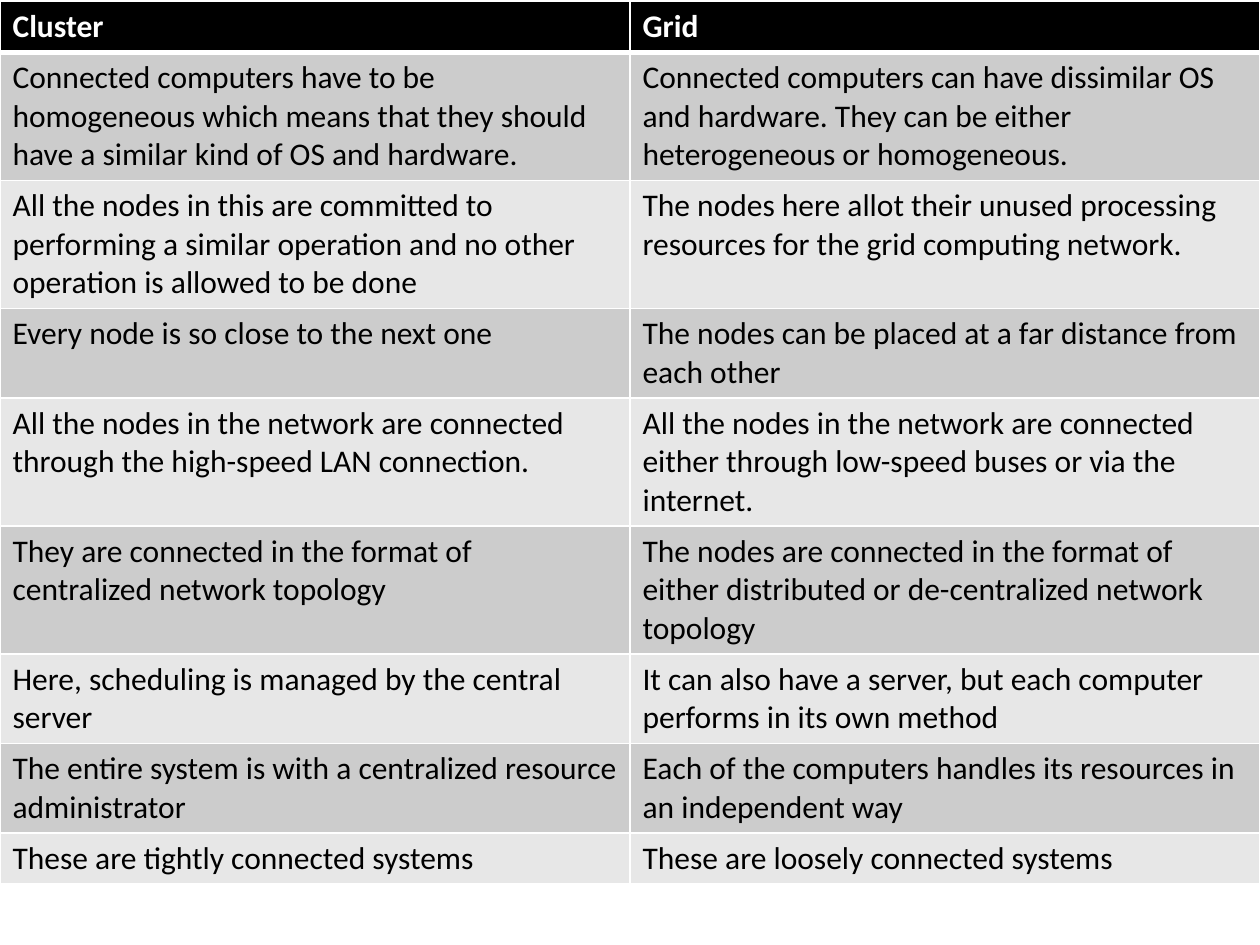
from dataclasses import dataclass
from typing import NamedTuple

from lxml.etree import SubElement
from pptx import Presentation
from pptx.dml.color import RGBColor
from pptx.oxml.ns import qn
from pptx.util import Pt


@dataclass(frozen=True)
class Theme:
    font: str = "Calibri"
    text_size: float = 18
    header_fill: str = "000000"
    header_text: str = "FFFFFF"
    body_text: str = "000000"
    band_fills: tuple[str, str] = ("CCCCCC", "E7E7E7")
    border: str = "FFFFFF"
    border_width: float = 1
    header_rule_width: float = 3


class Comparison(NamedTuple):
    cluster: str
    grid: str


THEME = Theme()
SLIDE_WIDTH, SLIDE_HEIGHT = 720, 540
TABLE_TOP, TABLE_HEIGHT, ROW_HEIGHT = 0.72, 497.5, 29.2

HEADER = Comparison("Cluster", "Grid")
COMPARISONS = [
    Comparison(
        "Connected computers have to be homogeneous which means that they should "
        "have a similar kind of OS and hardware.",
        "Connected computers can have dissimilar OS and hardware. They can be either "
        "heterogeneous or homogeneous.",
    ),
    Comparison(
        "All the nodes in this are committed to performing a similar operation and "
        "no other operation is allowed to be done",
        "The nodes here allot their unused processing resources for the grid "
        "computing network.",
    ),
    Comparison(
        "Every node is so close to the next one",
        "The nodes can be placed at a far distance from each other",
    ),
    Comparison(
        "All the nodes in the network are connected through the high-speed LAN "
        "connection.",
        "All the nodes in the network are connected either through low-speed buses "
        "or via the internet.",
    ),
    Comparison(
        "They are connected in the format of centralized network topology",
        "The nodes are connected in the format of either distributed or "
        "de-centralized network topology",
    ),
    Comparison(
        "Here, scheduling is managed by the central server",
        "It can also have a server, but each computer performs in its own method",
    ),
    Comparison(
        "The entire system is with a centralized resource administrator",
        "Each of the computers handles its resources in an independent way",
    ),
    Comparison(
        "These are tightly connected systems",
        "These are loosely connected systems",
    ),
]


def write_text(frame, text: str, *, color: str, bold: bool = False) -> None:
    span = frame.paragraphs[0].add_run()
    span.text = text
    span.font.name = THEME.font
    span.font.size = Pt(THEME.text_size)
    span.font.bold = bold
    span.font.color.rgb = RGBColor.from_string(color)


def add_borders(cell, *, top: float, bottom: float) -> None:
    """Draw all four cell borders; call before the fill, as the schema orders them."""
    properties = cell._tc.get_or_add_tcPr()
    side = THEME.border_width
    for tag, width in (("lnL", side), ("lnR", side), ("lnT", top), ("lnB", bottom)):
        line = SubElement(properties, qn(f"a:{tag}"), w=str(Pt(width)))
        fill = SubElement(line, qn("a:solidFill"))
        SubElement(fill, qn("a:srgbClr"), val=THEME.border)


def fill_row(table, index: int, comparison: Comparison) -> None:
    is_header = index == 0
    fill = THEME.header_fill if is_header else THEME.band_fills[(index - 1) % 2]
    color = THEME.header_text if is_header else THEME.body_text
    top = THEME.header_rule_width if index == 1 else THEME.border_width
    bottom = THEME.header_rule_width if is_header else THEME.border_width
    table.rows[index].height = Pt(ROW_HEIGHT)
    for cell, text in zip(table.rows[index].cells, comparison):
        add_borders(cell, top=top, bottom=bottom)
        cell.fill.solid()
        cell.fill.fore_color.rgb = RGBColor.from_string(fill)
        write_text(cell.text_frame, text, color=color, bold=is_header)


def add_comparison_table(page) -> None:
    rows = [HEADER, *COMPARISONS]
    frame = page.shapes.add_table(
        len(rows), len(HEADER), Pt(0), Pt(TABLE_TOP), Pt(SLIDE_WIDTH), Pt(TABLE_HEIGHT)
    )
    for index, comparison in enumerate(rows):
        fill_row(frame.table, index, comparison)
    frame.height = Pt(TABLE_HEIGHT)


def main() -> None:
    deck = Presentation()
    deck.slide_width, deck.slide_height = Pt(SLIDE_WIDTH), Pt(SLIDE_HEIGHT)
    page = deck.slides.add_slide(deck.slide_layouts[6])
    add_comparison_table(page)
    deck.save("out.pptx")


if __name__ == "__main__":
    main()
